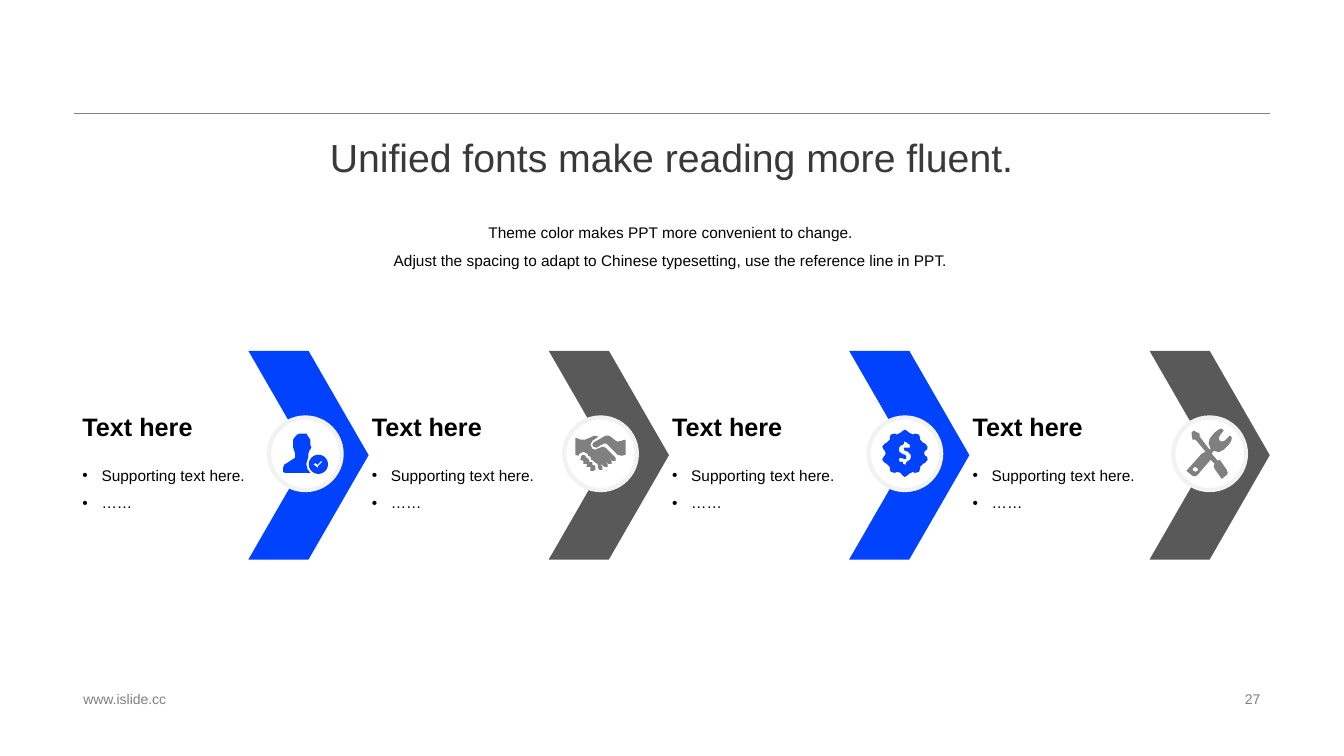
from dataclasses import dataclass
from math import cos, pi, sin

from lxml.etree import SubElement
from pptx import Presentation
from pptx.dml.color import RGBColor
from pptx.enum.shapes import MSO_CONNECTOR, MSO_SHAPE
from pptx.enum.text import MSO_ANCHOR, PP_ALIGN
from pptx.oxml.ns import qn
from pptx.util import Cm, Pt


@dataclass(frozen=True)
class Theme:
    font: str = "Arial"
    blue: RGBColor = RGBColor(0x00, 0x42, 0xFE)
    dark: RGBColor = RGBColor(0x59, 0x59, 0x59)
    gray: RGBColor = RGBColor(0x80, 0x80, 0x80)
    pale: RGBColor = RGBColor(0xF2, 0xF2, 0xF2)
    white: RGBColor = RGBColor(0xFF, 0xFF, 0xFF)
    black: RGBColor = RGBColor(0x00, 0x00, 0x00)
    title: RGBColor = RGBColor(0x3A, 0x38, 0x38)
    large: Pt = Pt(28)
    head: Pt = Pt(18)
    body: Pt = Pt(11)
    small: Pt = Pt(10)


theme = Theme()
deck = Presentation()
deck.slide_width, deck.slide_height = Cm(33.87), Cm(19.05)
slide = deck.slides.add_slide(deck.slide_layouts[6])
shapes = slide.shapes


def add_text(place, lines, size, color, align=PP_ALIGN.LEFT, anchor=MSO_ANCHOR.TOP,
             spacing=None, bold=False, bullet=False):
    frame = shapes.add_textbox(*[Cm(part) for part in place]).text_frame
    frame.word_wrap = True
    frame.vertical_anchor = anchor
    for index, line in enumerate(lines):
        para = frame.add_paragraph() if index else frame.paragraphs[0]
        para.alignment = align
        if spacing:
            para.line_spacing = spacing
        if bullet:
            props = para._p.get_or_add_pPr()
            props.set("marL", str(Cm(0.48)))
            props.set("indent", str(Cm(-0.48)))
            SubElement(props, qn("a:buFont")).set("typeface", theme.font)
            SubElement(props, qn("a:buChar")).set("char", "•")
        run = para.add_run()
        run.text = line
        run.font.name = theme.font
        run.font.size = size
        run.font.bold = bold
        run.font.color.rgb = color


def paint(shape, fill, edge=None):
    shape.shadow.inherit = False
    shape.fill.solid()
    shape.fill.fore_color.rgb = fill
    if edge:
        shape.line.color.rgb = edge
        shape.line.width = Pt(3)
    else:
        shape.line.fill.background()


person = [
    [(52, 43), (48, 47), (46, 45), (44, 47), (46, 48), (48, 50), (49, 48), (53, 44)],
    [(49 + 9.5 * cos(pi * turn / 16), 46.5 + 9.5 * sin(pi * turn / 16)) for turn in range(32)],
    [(32, 16), (37, 16), (39, 19), (41, 22), (41, 27), (42, 30), (40, 33), (39, 36),
     (39, 39), (37, 46), (38, 51), (41, 55), (16, 55), (14, 54), (14, 50), (15, 47),
     (26, 40), (26, 36), (25, 33), (24, 30), (24, 27), (24, 22), (26, 19), (28, 17),
     (30, 16)],
]
hands = [
    [(61, 22), (61, 37), (57, 38), (53, 37), (42, 26), (39, 26), (32, 30), (29, 29),
     (28, 27), (29, 25), (41, 18), (44, 18), (46, 19), (51, 23), (53, 24)],
    [(28, 47), (28, 44), (25, 44), (24, 41), (22, 40), (21, 38), (19, 37), (17, 38),
     (16, 42), (19, 43), (19, 46), (23, 46), (22, 49), (26, 49), (26, 53), (29, 53),
     (31, 52), (31, 48)],
    [(51, 40), (41, 30), (38, 29), (33, 31), (31, 32), (28, 31), (26, 27), (28, 23),
     (34, 19), (30, 18), (21, 22), (16, 22), (11, 20), (11, 37), (14, 38), (15, 36),
     (19, 34), (23, 36), (24, 38), (26, 39), (27, 42), (29, 43), (31, 45), (33, 46),
     (34, 51), (35, 52), (38, 52), (38, 49), (35, 45), (40, 49), (43, 49), (43, 46),
     (39, 42), (44, 46), (47, 46), (47, 43), (44, 39), (48, 43), (51, 43)],
]
coin = [
    [(56, 38), (55, 35.5), (56, 33), (58, 32), (58.5, 29), (56, 26), (54, 25), (51, 22),
     (51, 20), (50, 17), (46, 16), (44, 17), (40, 15), (39, 14), (36, 12), (33, 14),
     (32, 15), (28, 17), (26, 16), (22, 17), (21, 20), (21, 22), (18, 25), (16, 26),
     (13.5, 29), (15, 32), (16, 33), (17, 35.5), (16, 38), (15, 39), (13.5, 42), (16, 45),
     (18, 46), (21, 49), (21, 51), (22, 54), (26, 55), (28, 54), (32, 55), (33, 57),
     (36, 59), (39, 57), (40, 56), (44, 54), (46, 55), (50, 54), (51, 51), (51, 49),
     (54, 46), (56, 45), (58.5, 42), (58, 39)],
    [(41, 42), (38, 44), (37, 45), (37, 47), (34, 46), (34, 44), (31, 44), (30, 42),
     (31, 40), (35, 41), (37, 41), (37.5, 39.5), (37, 38), (36, 37), (33, 36), (30.5, 34),
     (30, 31), (31, 28.5), (34, 27), (35, 26), (35, 24), (36, 24), (38, 25), (39, 26),
     (41, 27), (41, 30), (40, 30), (36, 30), (35, 30), (35, 32), (36, 33), (39, 34),
     (41.5, 36.5), (42, 39.5)],
]
tools = [
    [(58, 20), (56, 18), (51, 23), (48, 24), (46, 23), (45, 21), (46, 18), (50, 13),
     (48, 11), (45, 12), (41, 15), (36, 21), (35, 26), (37, 31), (36, 32), (26, 19),
     (26, 16), (20, 13), (18, 15), (19, 22), (22, 22), (32, 34), (28, 36), (13, 53),
     (19, 58), (22, 58.5), (24, 57), (37, 42), (41, 46), (40, 48), (41, 51), (48, 61),
     (53, 57), (54, 55), (53, 52), (46, 42), (44, 43), (38, 36), (40, 33), (45, 34.5),
     (50, 32), (55, 27), (57.5, 23)],
    [(24, 53), (22, 54), (20, 53), (19, 51.5), (20, 50), (22, 49), (23, 50), (24.5, 51)],
]

rule = shapes.add_connector(MSO_CONNECTOR.STRAIGHT, Cm(1.87), Cm(2.86), Cm(32), Cm(2.86))
rule.line.color.rgb = theme.gray
rule.line.width = Pt(0.25)
SubElement(rule._element.spPr, qn("a:effectLst"))

add_text((1.85, 17.32, 11.5, 0.58), ["www.islide.cc"], theme.small, theme.gray,
         anchor=MSO_ANCHOR.MIDDLE)
add_text((23.93, 17.32, 8.08, 0.58), ["27"], theme.small, theme.gray,
         align=PP_ALIGN.RIGHT, anchor=MSO_ANCHOR.MIDDLE)
add_text((1.83, 3.15, 30.18, 1.63), ["Unified fonts make reading more fluent."],
         theme.large, theme.title, align=PP_ALIGN.CENTER, anchor=MSO_ANCHOR.MIDDLE)
add_text((1.83, 5.26, 30.15, 1.65),
         ["Theme color makes PPT more convenient to change.",
          "Adjust the spacing to adapt to Chinese typesetting, use the reference line in PPT."],
         theme.body, theme.black, align=PP_ALIGN.CENTER, spacing=1.5)

steps = [
    (1.83, 6.78, theme.blue, theme.blue, person),
    (9.12, 14.22, theme.dark, theme.gray, hands),
    (16.69, 21.89, theme.blue, theme.blue, coin),
    (24.26, 29.57, theme.dark, theme.gray, tools),
]
unit = Cm(2.54) / 100
top = Cm(10.52)
for index, (left, disc, fill, tint, icon) in enumerate(steps):
    arrow = shapes.add_shape(MSO_SHAPE.CHEVRON, Cm(6.26 + 7.57 * index), Cm(8.84),
                             Cm(3.03), Cm(5.26))
    paint(arrow, fill)
    badge = shapes.add_shape(MSO_SHAPE.OVAL, Cm(disc), top, Cm(1.83), Cm(1.83))
    paint(badge, theme.white, theme.pale)

    loops = [[(x * unit, y * unit) for x, y in loop] for loop in icon]
    pen = shapes.build_freeform(*loops[0][0])
    pen.add_line_segments(loops[0][1:])
    for loop in loops[1:]:
        pen.move_to(*loop[0])
        pen.add_line_segments(loop[1:])
    paint(pen.convert_to_shape(Cm(disc), top), tint)

    add_text((left, 11.38, 4.72, 1.83), ["Supporting text here.", "……"],
             theme.body, theme.black, spacing=1.5, bullet=True)
    add_text((left, 10.24, 4.72, 1.14), ["Text here"], theme.head, theme.black, bold=True)

deck.save("out.pptx")
